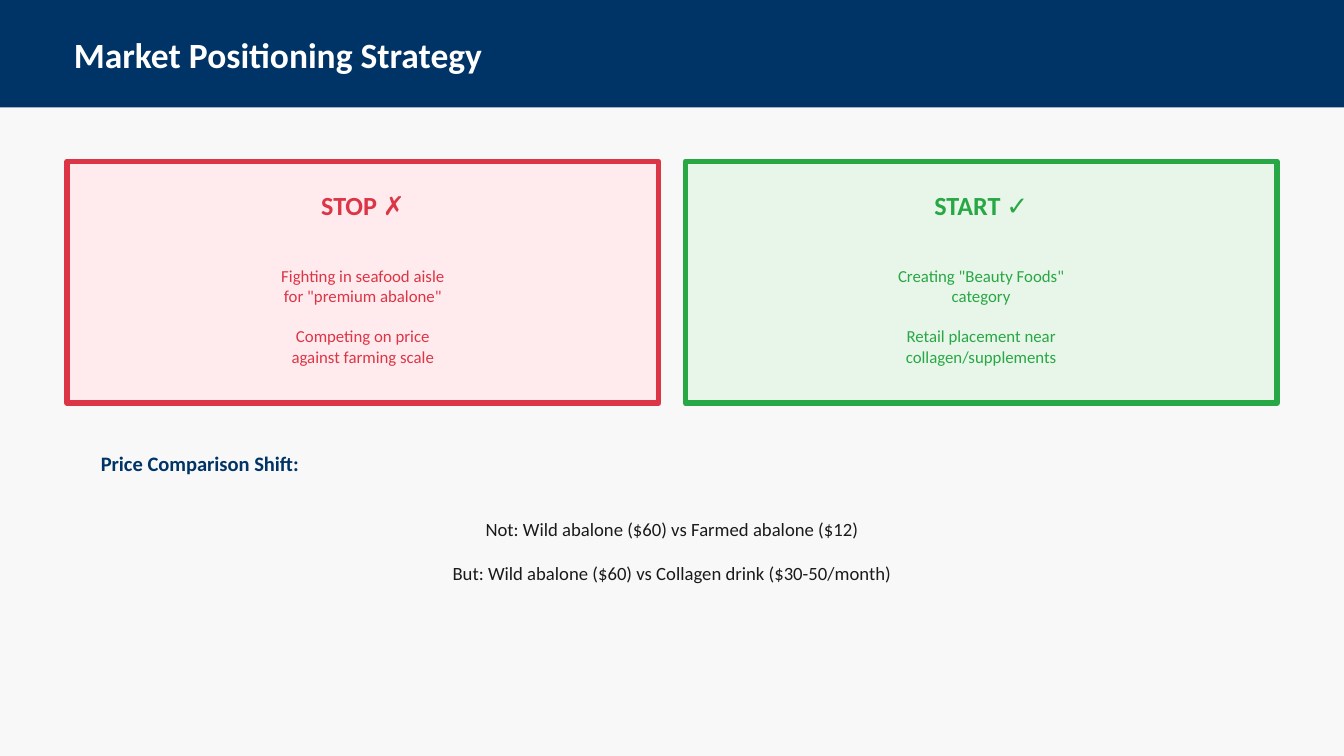
from dataclasses import dataclass

from pptx import Presentation
from pptx import util as u
from pptx.dml.color import RGBColor
from pptx.enum import shapes, text

FONT = "Calibri"
COLOURS = {
    "background": "F8F8F8",
    "navy": "003366",
    "white": "FFFFFF",
    "ink": "1A1A1A",
    "red": "DC3545",
    "pale_red": "FFEBEE",
    "green": "28A745",
    "pale_green": "E8F5E9",
}


@dataclass(frozen=True)
class Area:
    left: float
    top: float
    width: float
    height: float

    def lengths(self) -> tuple:
        return tuple(u.Cm(side) for side in (self.left, self.top, self.width, self.height))


@dataclass(frozen=True)
class Style:
    size: int
    colour: str
    bold: bool = False
    centred: bool = False


@dataclass(frozen=True)
class Card:
    heading: str
    points: tuple[tuple[str, ...], ...]
    accent: str
    tint: str


CARDS = (
    Card(
        "STOP ✗",
        (
            ("Fighting in seafood aisle", 'for "premium abalone"'),
            ("Competing on price", "against farming scale"),
        ),
        "red",
        "pale_red",
    ),
    Card(
        "START ✓",
        (
            ('Creating "Beauty Foods"', "category"),
            ("Retail placement near", "collagen/supplements"),
        ),
        "green",
        "pale_green",
    ),
)
CARD_LEFT = 2.54
CARD_STEP = 23.37


def colour(name: str) -> RGBColor:
    return RGBColor.from_string(COLOURS[name])


def draw_panel(page, area: Area, fill: str, border: str | None = None) -> None:
    panel = page.shapes.add_shape(shapes.MSO_SHAPE.RECTANGLE, *area.lengths())
    panel.shadow.inherit = False
    panel.fill.solid()
    panel.fill.fore_color.rgb = colour(fill)
    if border:
        panel.line.color.rgb = colour(border)
        panel.line.width = u.Pt(6)
    else:
        panel.line.fill.background()


def draw_text(page, area: Area, groups: tuple[tuple[str, ...], ...], style: Style) -> None:
    box = page.shapes.add_textbox(*area.lengths())
    frame = box.text_frame
    frame.word_wrap = True
    frame.vertical_anchor = text.MSO_ANCHOR.MIDDLE
    for group_index, group in enumerate(groups):
        for line_index, line in enumerate(group):
            first = group_index == line_index == 0
            para = frame.paragraphs[0] if first else frame.add_paragraph()
            if style.centred:
                para.alignment = text.PP_ALIGN.CENTER
            if group_index and not line_index:
                para.space_before = u.Pt(round(style.size * 1.22))
            span = para.add_run()
            span.text = line
            span.font.name = FONT
            span.font.size = u.Pt(style.size)
            span.font.bold = style.bold
            span.font.color.rgb = colour(style.colour)


def draw_card(page, card: Card, left: float) -> None:
    draw_panel(page, Area(left, 6.1, 22.35, 9.14), card.tint, card.accent)
    draw_text(
        page,
        Area(left + 1.02, 6.86, 20.32, 1.78),
        ((card.heading,),),
        Style(28, card.accent, bold=True, centred=True),
    )
    draw_text(
        page,
        Area(left + 2.03, 9.4, 18.29, 5.08),
        card.points,
        Style(18, card.accent, centred=True),
    )


def main() -> None:
    deck = Presentation()
    deck.slide_width = u.Cm(50.8)
    deck.slide_height = u.Cm(28.58)
    page = deck.slides.add_slide(deck.slide_layouts[6])
    page.background.fill.solid()
    page.background.fill.fore_color.rgb = colour("background")

    draw_panel(page, Area(0, 0, 50.8, 4.06), "navy")
    draw_text(
        page,
        Area(2.54, 1.02, 45.72, 2.03),
        (("Market Positioning Strategy",),),
        Style(38, "white", bold=True),
    )
    for index, card in enumerate(CARDS):
        draw_card(page, card, CARD_LEFT + index * CARD_STEP)
    draw_text(
        page,
        Area(3.56, 16.76, 43.69, 1.52),
        (("Price Comparison Shift:",),),
        Style(22, "navy", bold=True),
    )
    draw_text(
        page,
        Area(5.08, 18.8, 40.64, 4.06),
        (
            ("Not: Wild abalone ($60) vs Farmed abalone ($12)",),
            ("But: Wild abalone ($60) vs Collagen drink ($30-50/month)",),
        ),
        Style(20, "ink", centred=True),
    )
    deck.save("out.pptx")


if __name__ == "__main__":
    main()
